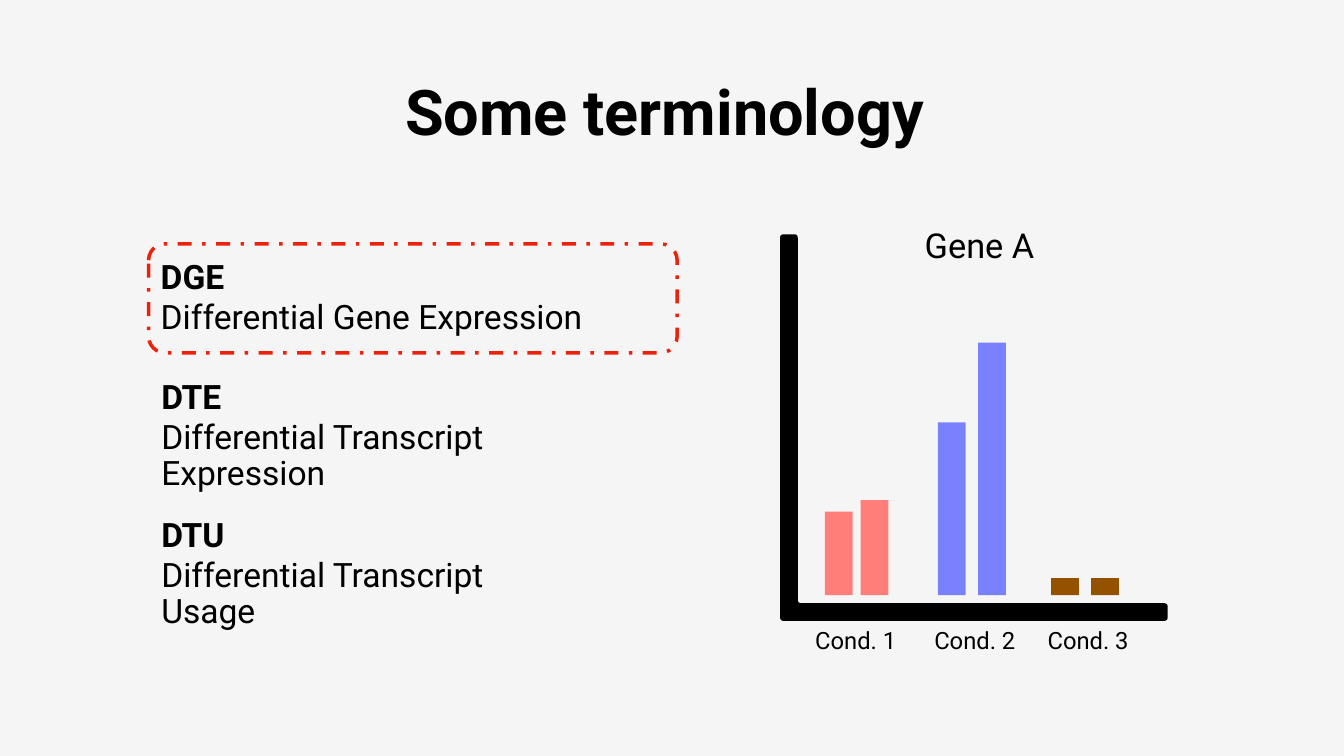
import dataclasses

import pptx
import pptx.dml.color
import pptx.enum.dml
import pptx.enum.shapes
import pptx.enum.text
import pptx.util

Cm = pptx.util.Cm
Pt = pptx.util.Pt
ALIGN = pptx.enum.text.PP_ALIGN
SHAPES = pptx.enum.shapes.MSO_SHAPE


@dataclasses.dataclass(frozen=True)
class Theme:
    font: str = "Roboto"
    background: str = "F5F5F5"
    ink: str = "000000"
    highlight: str = "EB220C"
    condition_1: str = "FF7E79"
    condition_2: str = "7A81FF"
    condition_3: str = "945200"
    title_size: int = 90
    gene_size: int = 49
    term_size: int = 48
    condition_size: int = 34


def rgb(value):
    return pptx.dml.color.RGBColor.from_string(value)


def rounded_outline(corners, radius, steps=6):
    points = []
    for i, (x, y) in enumerate(corners):
        arms = []
        for nx, ny in (corners[i - 1], corners[(i + 1) % len(corners)]):
            length = abs(nx - x) + abs(ny - y)
            arms.append(((nx - x) / length * radius, (ny - y) / length * radius))
        (ax, ay), (bx, by) = arms
        for step in range(steps + 1):
            t = step / steps
            points.append((x + ax * (1 - t) ** 2 + bx * t ** 2,
                           y + ay * (1 - t) ** 2 + by * t ** 2))
    return points


class Painter:
    def __init__(self, slide, theme):
        self.slide = slide
        self.theme = theme
        slide.background.fill.solid()
        slide.background.fill.fore_color.rgb = rgb(theme.background)

    def text(self, box, lines, size, align=ALIGN.LEFT, spacing=0.9, inset=0.15):
        frame = self.slide.shapes.add_textbox(*map(Cm, box)).text_frame
        frame.word_wrap = True
        frame.auto_size = pptx.enum.text.MSO_AUTO_SIZE.SHAPE_TO_FIT_TEXT
        frame.vertical_anchor = pptx.enum.text.MSO_ANCHOR.MIDDLE
        frame.margin_left = frame.margin_right = Cm(inset)
        frame.margin_top = frame.margin_bottom = Cm(inset)
        for i, (wording, bold) in enumerate(lines):
            paragraph = frame.add_paragraph() if i else frame.paragraphs[0]
            paragraph.text = wording
            paragraph.alignment = align
            paragraph.line_spacing = spacing
            if i:
                paragraph.space_before = Pt(5)
            paragraph.font.name = self.theme.font
            paragraph.font.size = Pt(size)
            paragraph.font.bold = bold
            paragraph.font.color.rgb = rgb(self.theme.ink)

    def fill(self, shape, color):
        shape.shadow.inherit = False
        shape.fill.solid()
        shape.fill.fore_color.rgb = rgb(color)
        shape.line.fill.background()

    def bar(self, box, color):
        self.fill(self.slide.shapes.add_shape(SHAPES.RECTANGLE, *map(Cm, box)), color)

    def outline(self, corners, radius, color):
        points = [(round(x * 1000), round(y * 1000))
                  for x, y in rounded_outline(corners, radius)]
        builder = self.slide.shapes.build_freeform(*points[0], scale=Cm(1) / 1000)
        builder.add_line_segments(points[1:], close=True)
        self.fill(builder.convert_to_shape(), color)

    def dashed_frame(self, box, color):
        frame = self.slide.shapes.add_shape(SHAPES.ROUNDED_RECTANGLE, *map(Cm, box))
        frame.adjustments[0] = 0.15
        frame.shadow.inherit = False
        frame.fill.background()
        frame.line.color.rgb = rgb(color)
        frame.line.width = Pt(5)
        frame.line.dash_style = pptx.enum.dml.MSO_LINE.DASH_DOT


def main():
    deck = pptx.Presentation()
    deck.slide_width, deck.slide_height = Cm(67.74), Cm(38.1)
    theme = Theme()
    painter = Painter(deck.slides.add_slide(deck.slide_layouts[6]), theme)

    painter.text((10.19, 3.45, 46.63, 4.22), [("Some terminology", True)],
                 theme.title_size, ALIGN.CENTER, spacing=1.0, inset=0.2)

    terms = [
        ("DGE", "Differential Gene Expression", 7.95, 21.69),
        ("DTE", "Differential Transcript Expression", 7.98, 25.1),
        ("DTU", "Differential Transcript Usage", 7.98, 21.62),
    ]
    for row, (acronym, meaning, left, width) in enumerate(terms):
        painter.text((left, 12.9 + 6.96 * row, width, 4.27),
                     [(acronym, True), (meaning, False)], theme.term_size)

    left, top, right, bottom, thickness = 39.32, 11.81, 58.85, 31.29, 0.89
    painter.outline([
        (left, top), (left, bottom), (right, bottom), (right, bottom - thickness),
        (left + thickness, bottom - thickness), (left + thickness, top),
    ], 0.18, theme.ink)

    baseline, bar_width = 30, 1.4
    conditions = [
        ("Cond. 1", 40.94, theme.condition_1, [(41.58, 4.22), (43.38, 4.8)]),
        ("Cond. 2", 46.94, theme.condition_2, [(47.27, 8.71), (49.3, 12.73)]),
        ("Cond. 3", 52.65, theme.condition_3, [(52.98, 0.86), (54.99, 0.86)]),
    ]
    for condition, label_left, color, bars in conditions:
        for bar_left, height in bars:
            painter.bar((bar_left, baseline - height, bar_width, height), color)
        painter.text((label_left, 31.5, 4.57, 1.65), [(condition, False)],
                     theme.condition_size)

    painter.text((46.46, 11.33, 6.05, 2.29), [("Gene A", False)], theme.gene_size)
    painter.dashed_frame((7.49, 12.29, 26.64, 5.49), theme.highlight)

    deck.save("out.pptx")


if __name__ == "__main__":
    main()
